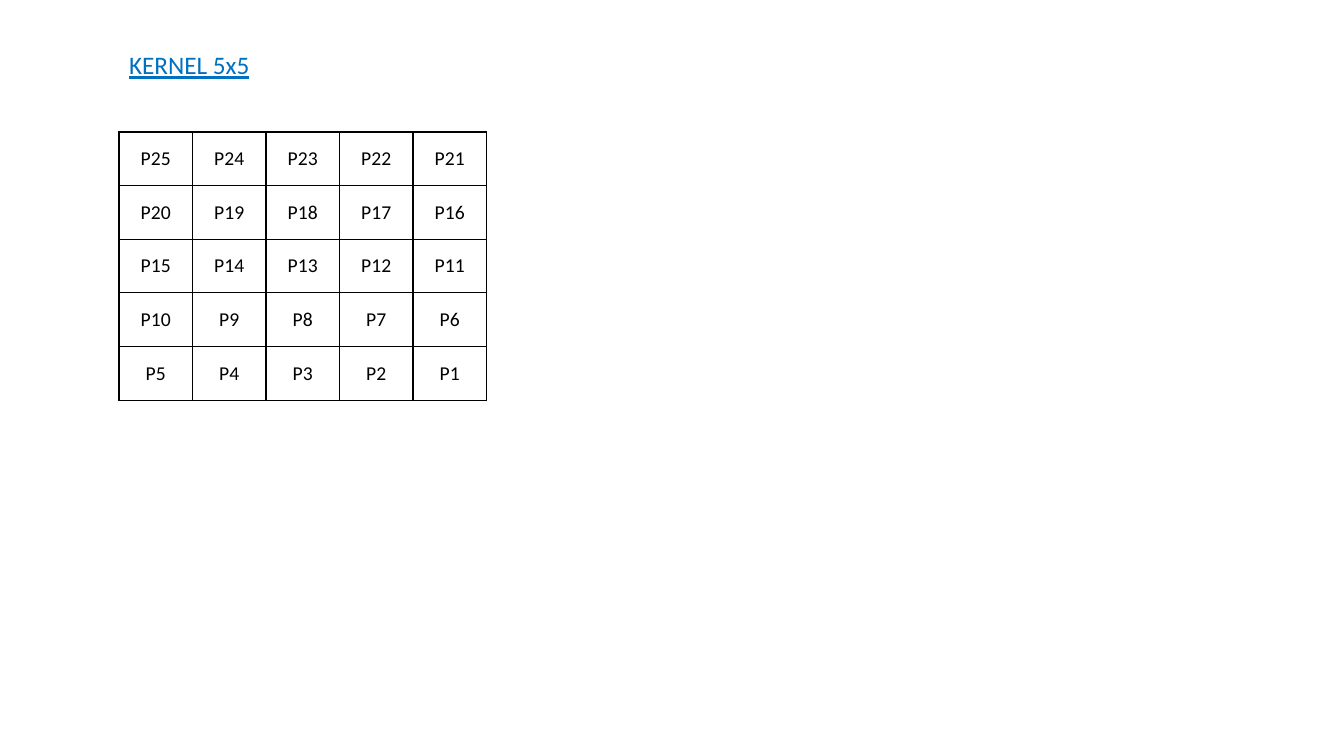
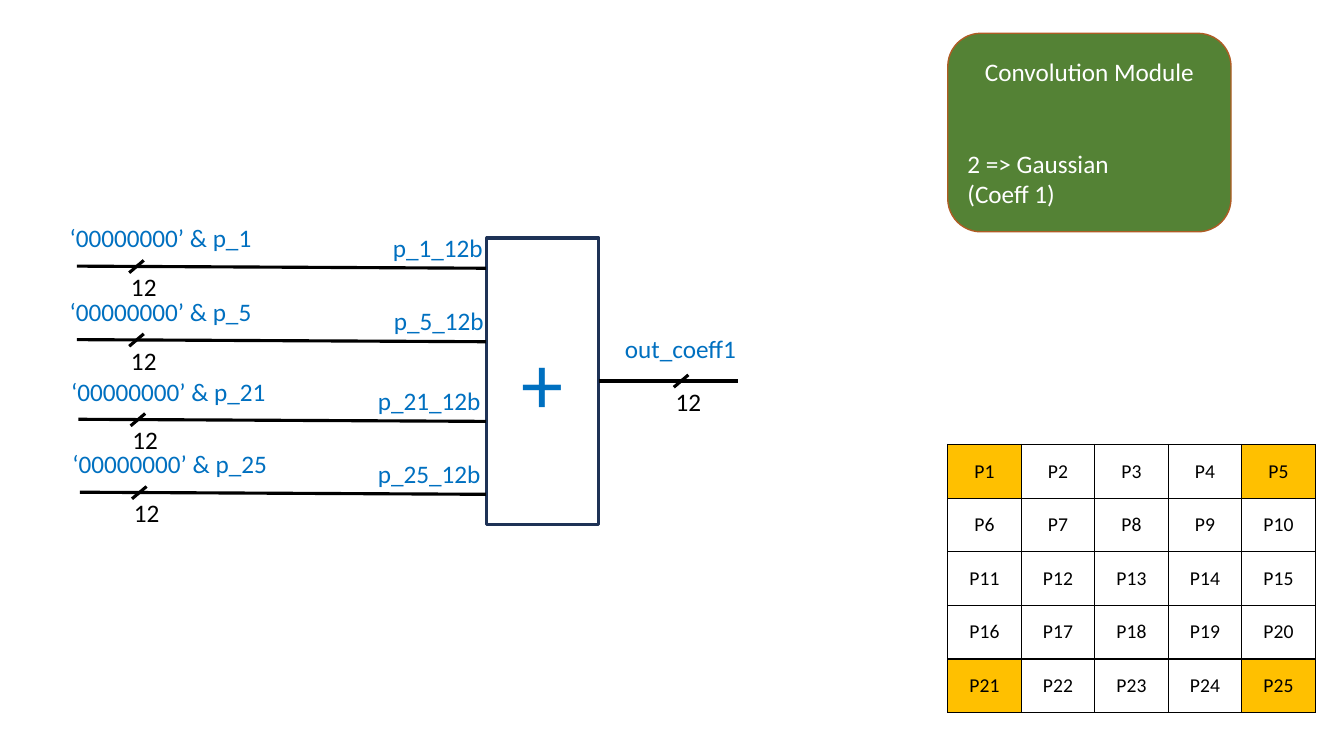
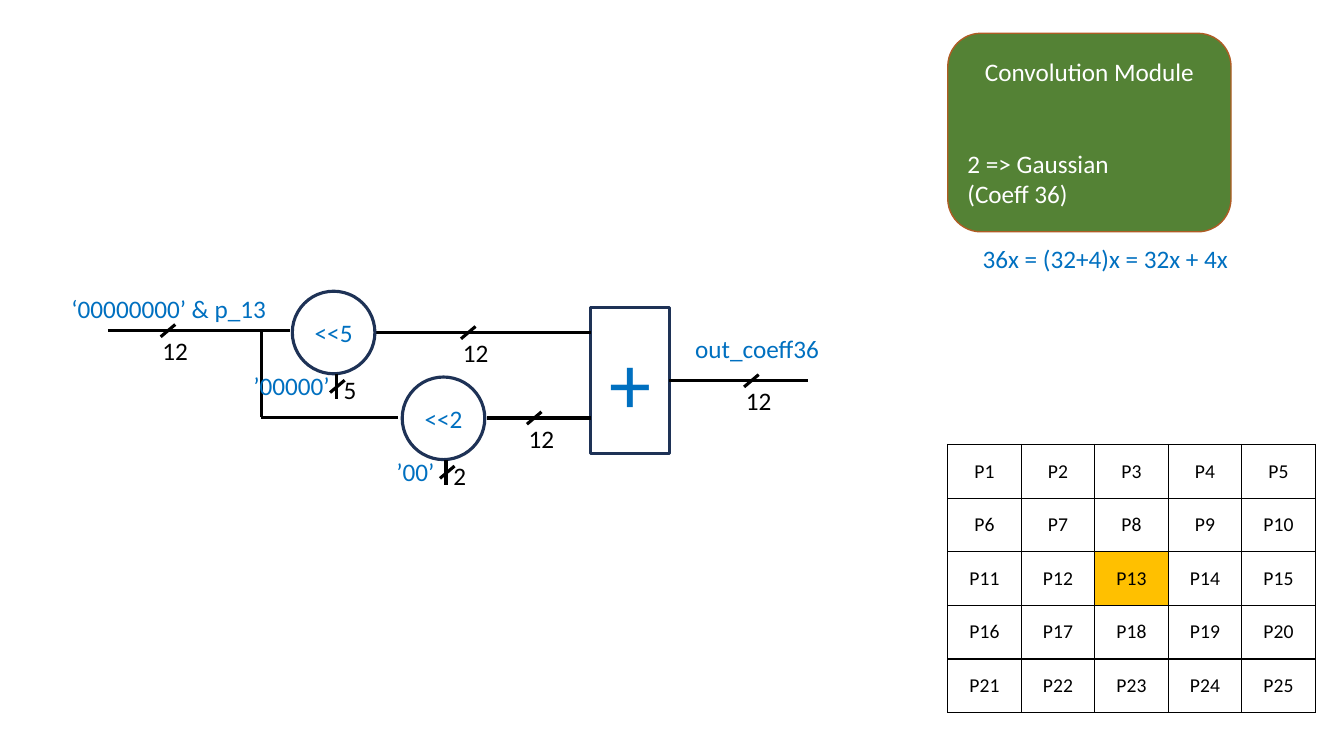
from dataclasses import dataclass

from lxml import etree
from pptx import Presentation
from pptx.dml.color import RGBColor
from pptx.enum.shapes import MSO_CONNECTOR, MSO_SHAPE
from pptx.enum.text import MSO_ANCHOR, MSO_AUTO_SIZE, PP_ALIGN
from pptx.oxml.ns import qn
from pptx.util import Pt

STRAIGHT = MSO_CONNECTOR.STRAIGHT
RECTANGLE, ROUNDED, OVAL = MSO_SHAPE.RECTANGLE, MSO_SHAPE.ROUNDED_RECTANGLE, MSO_SHAPE.OVAL
LEFT, CENTER = PP_ALIGN.LEFT, PP_ALIGN.CENTER
TOP, MIDDLE = MSO_ANCHOR.TOP, MSO_ANCHOR.MIDDLE
GROW = MSO_AUTO_SIZE.SHAPE_TO_FIT_TEXT
RIGHT_SIDE = 3
TITLE_ONLY, BLANK = 5, 6

FONT = "Calibri"
BLACK, WHITE, BLUE, NAVY = "000000", "FFFFFF", "0070C0", "1E3256"
GREEN, BROWN, AMBER = "548235", "AF5C24", "FFC000"
TEXT_SIZE, CELL_TEXT_SIZE, PLUS_SIZE = 18, 14, 60
WIRE_WIDTH, TEXT_HEIGHT = 2.25, 29
KERNEL_SIZE, CELL_WIDTH, CELL_HEIGHT = 5, 52.5, 38.3
PANEL_LEFT = 677
CIRCLE_DIAMETER = 59


@dataclass
class InputSignal:
    pixel: str
    left: float
    top: float
    name_left: float
    name_width: float


@dataclass
class Shifter:
    bits: int
    left: float
    top: float
    constant_width: float


@dataclass
class Bus:
    left: float
    right: float
    y: float
    slash_x: float


INPUT_SIGNALS = (
    InputSignal("p_1", 55, 190.1, 273.6, 81),
    InputSignal("p_5", 55, 242.6, 274.3, 81),
    InputSignal("p_21", 56, 299.5, 262.8, 94),
    InputSignal("p_25", 57, 351.6, 262.8, 94),
)
SHIFTERS = (Shifter(5, 208.8, 208, 69), Shifter(2, 287.3, 269.3, 45.4))
COEFF36_BUSES = (
    Bus(77, 207.4, 236.2, 120),
    Bus(268, 422, 237.6, 334.5),
    Bus(347.8, 422, 298.6, 381.6),
)


def rgb(hex_color):
    return RGBColor.from_string(hex_color)


def style_paragraph(paragraph, color: str, size: float = TEXT_SIZE, align=LEFT):
    paragraph.alignment = align
    for run in paragraph.runs:
        run.font.name = FONT
        run.font.size = Pt(size)
        run.font.bold = False
        run.font.color.rgb = rgb(color)


def add_label(slide, text: str, left: float, top: float, width: float, color: str = BLUE):
    box = slide.shapes.add_textbox(Pt(left), Pt(top), Pt(width), Pt(TEXT_HEIGHT))
    frame = box.text_frame
    frame.word_wrap = True
    frame.auto_size = GROW
    frame.text = text
    style_paragraph(frame.paragraphs[0], color)


def add_wire(slide, start: tuple[float, float], end: tuple[float, float]):
    wire = slide.shapes.add_connector(STRAIGHT, *(Pt(value) for value in (*start, *end)))
    wire.line.color.rgb = rgb(BLACK)
    wire.line.width = Pt(WIRE_WIDTH)
    etree.SubElement(wire._element.spPr, qn("a:effectLst"))
    return wire


def add_slash(slide, x: float, y: float):
    add_wire(slide, (x - 5.2, y + 4.4), (x + 5.2, y - 4.4))


def add_bus_mark(slide, x: float, y: float):
    """Mark a horizontal wire as 12 bits wide."""
    add_slash(slide, x, y)
    add_label(slide, "12", x - 11, y, 33, BLACK)


def add_block(slide, kind, left: float, top: float, width: float, height: float,
              text: str, size: float = TEXT_SIZE):
    """Add an unfilled, navy-outlined operator with a blue symbol."""
    block = slide.shapes.add_shape(kind, Pt(left), Pt(top), Pt(width), Pt(height))
    block.shadow.inherit = False
    block.fill.background()
    block.line.color.rgb = rgb(NAVY)
    block.line.width = Pt(WIRE_WIDTH)
    block.text_frame.vertical_anchor = MIDDLE
    block.text_frame.text = text
    style_paragraph(block.text_frame.paragraphs[0], BLUE, size, CENTER)
    return block


def add_adder(slide, left: float, top: float, width: float, height: float, output: str):
    """Add the adder with its output wire and name."""
    adder = add_block(slide, RECTANGLE, left, top, width, height, "+", PLUS_SIZE)
    right, y = left + width, top + height / 2
    wire = add_wire(slide, (right, y), (right + 99.4, y))
    wire.begin_connect(adder, RIGHT_SIDE)
    add_bus_mark(slide, right + 58.7, y)
    add_label(slide, output, right + 11.5, y - 37.4, 106)


def add_module(slide, coefficient: int):
    module = slide.shapes.add_shape(ROUNDED, Pt(PANEL_LEFT), Pt(23.8), Pt(202.3), Pt(141.8))
    module.shadow.inherit = False
    module.fill.solid()
    module.fill.fore_color.rgb = rgb(GREEN)
    module.line.color.rgb = rgb(BROWN)
    module.line.width = Pt(1)
    frame = module.text_frame
    frame.vertical_anchor = MIDDLE
    frame.text = f"Convolution Module\n2 => Gaussian\n(Coeff {coefficient})"
    for paragraph in frame.paragraphs:
        style_paragraph(paragraph, WHITE)
    frame.paragraphs[0].alignment = CENTER
    frame.paragraphs[1].space_before = Pt(44)


def add_cell_borders(cell):
    properties = cell._tc.get_or_add_tcPr()
    for position, side in enumerate(("a:lnL", "a:lnR", "a:lnT", "a:lnB")):
        border = etree.Element(qn(side), w=str(Pt(1)))
        fill = etree.SubElement(border, qn("a:solidFill"))
        etree.SubElement(fill, qn("a:srgbClr"), val=BLACK)
        properties.insert(position, border)


def add_kernel(slide, left: float, top: float, pixels, highlighted=()):
    """Add the pixel grid, filled row by row with the given pixel numbers."""
    frame = slide.shapes.add_table(KERNEL_SIZE, KERNEL_SIZE, Pt(left), Pt(top),
                                   Pt(KERNEL_SIZE * CELL_WIDTH), Pt(KERNEL_SIZE * CELL_HEIGHT))
    table = frame.table
    table.first_row = table.horz_banding = False
    for column in table.columns:
        column.width = Pt(CELL_WIDTH)
    for row in table.rows:
        row.height = Pt(CELL_HEIGHT)
    for cell, pixel in zip(table.iter_cells(), pixels):
        cell.text_frame.text = f"P{pixel}"
        style_paragraph(cell.text_frame.paragraphs[0], BLACK, CELL_TEXT_SIZE, CENTER)
        cell.vertical_anchor = MIDDLE
        cell.margin_left = cell.margin_right = Pt(5.8)
        cell.margin_top = cell.margin_bottom = Pt(2.9)
        if pixel in highlighted:
            cell.fill.solid()
            cell.fill.fore_color.rgb = rgb(AMBER)
        else:
            cell.fill.background()
        add_cell_borders(cell)


def add_input_signal(slide, signal: InputSignal):
    left, y = signal.left, signal.top
    add_wire(slide, (left, y), (347, y + 1.5))
    add_bus_mark(slide, left + 42.5, y + 0.3)
    add_label(slide, f"‘00000000’ & {signal.pixel}", left - 12.3, y - 34.6, 160)
    add_label(slide, f"{signal.pixel}_12b", signal.name_left, y - 28, signal.name_width)


def add_shifter(slide, shifter: Shifter):
    """Add a shift circle and the constant tapped in from below."""
    bits = shifter.bits
    add_block(slide, OVAL, shifter.left, shifter.top, CIRCLE_DIAMETER, CIRCLE_DIAMETER,
              f"<<{bits}")
    center = shifter.left + CIRCLE_DIAMETER / 2
    bottom = shifter.top + CIRCLE_DIAMETER
    tap_x, slash_x, slash_y = center + 1.8, center + 2.7, bottom + 9
    add_wire(slide, (tap_x, bottom + 18), (tap_x, bottom))
    add_slash(slide, slash_x, slash_y)
    add_label(slide, str(bits), slash_x - 2.7, slash_y - 12, 24, BLACK)
    add_label(slide, f"’{'0' * bits}’", center + 4.7 - shifter.constant_width, bottom - 5.8,
              shifter.constant_width)


def build_kernel_slide(presentation):
    slide = presentation.slides.add_slide(presentation.slide_layouts[TITLE_ONLY])
    title = slide.shapes.title
    title.left, title.top, title.width, title.height = Pt(85), Pt(31.7), Pt(102), Pt(TEXT_HEIGHT)
    frame = title.text_frame
    frame.text = "KERNEL 5x5"
    frame.word_wrap = False
    frame.auto_size = GROW
    frame.vertical_anchor = TOP
    style_paragraph(frame.paragraphs[0], BLUE)
    frame.paragraphs[0].runs[0].font.underline = True
    add_kernel(slide, 85, 94.3, range(25, 0, -1))


def add_convolution_slide(presentation, coefficient: int, highlighted):
    slide = presentation.slides.add_slide(presentation.slide_layouts[BLANK])
    add_module(slide, coefficient)
    add_kernel(slide, PANEL_LEFT, 317.5, range(1, 26), highlighted)
    return slide


def build_coeff1_slide(presentation):
    slide = add_convolution_slide(presentation, 1, (1, 5, 21, 25))
    add_adder(slide, 347.8, 170, 80, 204.4, "out_coeff1")
    for signal in INPUT_SIGNALS:
        add_input_signal(slide, signal)


def build_coeff36_slide(presentation):
    slide = add_convolution_slide(presentation, 36, (13,))
    add_label(slide, "36x = (32+4)x = 32x + 4x", 694.8, 170.6, 202.3)
    add_adder(slide, 422, 219.8, 56, 104.4, "out_coeff36")
    add_label(slide, "‘00000000’ & p_13", 44, 206, 163.4)
    for bus in COEFF36_BUSES:
        add_wire(slide, (bus.left, bus.y), (bus.right, bus.y))
        add_bus_mark(slide, bus.slash_x, bus.y)
    branch_x, branch_y = 186.5, 298
    add_wire(slide, (branch_x, branch_y), (branch_x, COEFF36_BUSES[0].y))
    add_wire(slide, (branch_x, branch_y), (284.4, branch_y))
    for shifter in SHIFTERS:
        add_shifter(slide, shifter)


def main():
    presentation = Presentation()
    presentation.slide_width, presentation.slide_height = Pt(960), Pt(540)
    build_kernel_slide(presentation)
    build_coeff1_slide(presentation)
    build_coeff36_slide(presentation)
    presentation.save("out.pptx")


if __name__ == "__main__":
    main()
